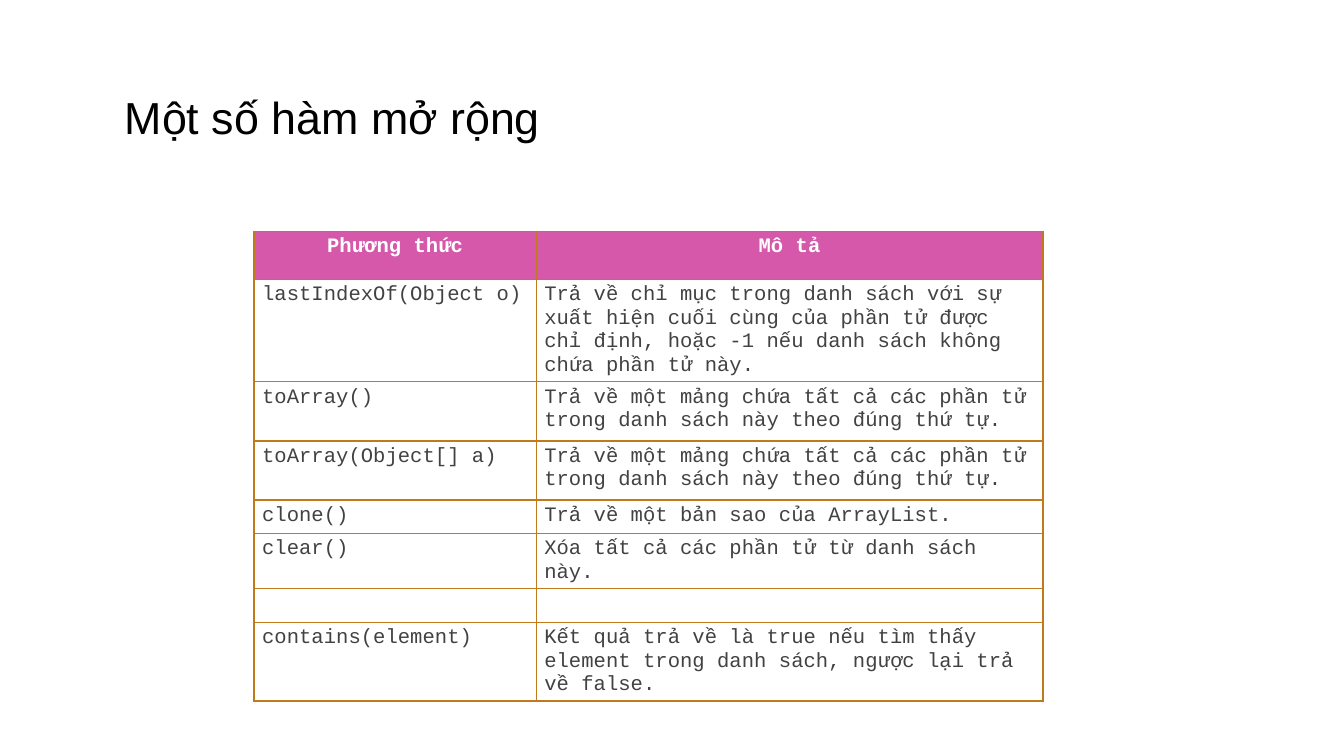
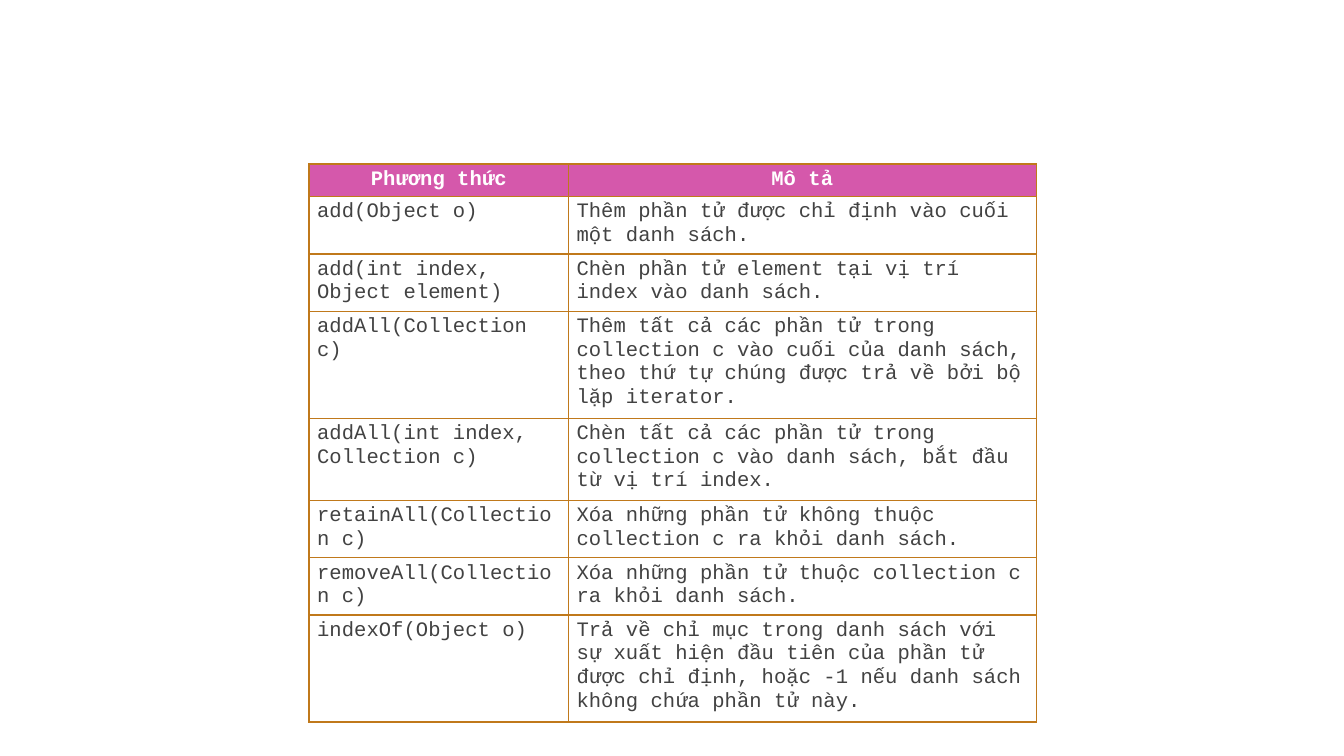
from dataclasses import dataclass

from lxml import etree
from pptx import Presentation
from pptx import util as u
from pptx.dml.color import RGBColor
from pptx.enum import text
from pptx.oxml import ns


@dataclass(frozen=True)
class Theme:
    page_fill: str = "FFFFFF"
    title_colour: str = "000000"
    header_fill: str = "D558AB"
    header_colour: str = "FFFFFF"
    body_fill: str = "FFFFFF"
    body_colour: str = "424242"
    border_colour: str = "C0791B"
    border_width: float = 0.8
    title_font: str = "Arial"
    title_size: int = 24
    table_font: str = "Courier New"
    table_size: int = 11


THEME = Theme()
HEADER = ("Phương thức", "Mô tả")

EXTRA_METHODS = [
    ("lastIndexOf(Object o)",
     "Trả về chỉ mục trong danh sách với sự xuất hiện cuối cùng của phần tử "
     "được chỉ định, hoặc -1 nếu danh sách không chứa phần tử này."),
    ("toArray()",
     "Trả về một mảng chứa tất cả các phần tử trong danh sách này theo đúng thứ tự."),
    ("toArray(Object[] a)",
     "Trả về một mảng chứa tất cả các phần tử trong danh sách này theo đúng thứ tự."),
    ("clone()", "Trả về một bản sao của ArrayList."),
    ("clear()", "Xóa tất cả các phần tử từ danh sách này."),
    ("", ""),
    ("contains(element)",
     "Kết quả trả về là true nếu tìm thấy element trong danh sách, "
     "ngược lại trả về false."),
]

LIST_METHODS = [
    ("add(Object o)", "Thêm phần tử được chỉ định vào cuối một danh sách."),
    ("add(int index, Object element)",
     "Chèn phần tử element tại vị trí index vào danh sách."),
    ("addAll(Collection c)",
     "Thêm tất cả các phần tử trong collection c vào cuối của danh sách, "
     "theo thứ tự chúng được trả về bởi bộ lặp iterator."),
    ("addAll(int index, Collection c)",
     "Chèn tất cả các phần tử trong collection c vào danh sách, "
     "bắt đầu từ vị trí index."),
    ("retainAll(Collection c)",
     "Xóa những phần tử không thuộc collection c ra khỏi danh sách."),
    ("removeAll(Collection c)",
     "Xóa những phần tử thuộc collection c ra khỏi danh sách."),
    ("indexOf(Object o)",
     "Trả về chỉ mục trong danh sách với sự xuất hiện đầu tiên của phần tử "
     "được chỉ định, hoặc -1 nếu danh sách không chứa phần tử này."),
]


def add_page(deck):
    page = deck.slides.add_slide(deck.slide_layouts[6])
    page.background.fill.solid()
    page.background.fill.fore_color.rgb = RGBColor.from_string(THEME.page_fill)
    return page


def add_span(para, words, font, size, colour, bold=False):
    span = para.add_run()
    span.text = words
    span.font.name = font
    span.font.size = u.Pt(size)
    span.font.bold = bold
    span.font.color.rgb = RGBColor.from_string(colour)


def add_title(page, words):
    box = page.shapes.add_textbox(
        u.Inches(0.83), u.Inches(0.62), u.Inches(5.17), u.Inches(0.5))
    frame = box.text_frame
    frame.word_wrap = True
    frame.auto_size = text.MSO_AUTO_SIZE.SHAPE_TO_FIT_TEXT
    add_span(frame.paragraphs[0], words, THEME.title_font,
             THEME.title_size, THEME.title_colour)


def add_borders(cell):
    properties = cell._tc.get_or_add_tcPr()
    for position, side in enumerate(("lnL", "lnR", "lnT", "lnB")):
        line = etree.Element(ns.qn(f"a:{side}"),
                             w=str(int(u.Pt(THEME.border_width))))
        fill = etree.SubElement(line, ns.qn("a:solidFill"))
        etree.SubElement(fill, ns.qn("a:srgbClr"), val=THEME.border_colour)
        properties.insert(position, line)


def fill_cell(cell, words, is_header):
    cell.margin_left = cell.margin_right = u.Inches(0.06)
    cell.margin_top = cell.margin_bottom = u.Inches(0.03)
    cell.fill.solid()
    cell.fill.fore_color.rgb = RGBColor.from_string(
        THEME.header_fill if is_header else THEME.body_fill)
    add_borders(cell)
    para = cell.text_frame.paragraphs[0]
    para.alignment = text.PP_ALIGN.CENTER if is_header else text.PP_ALIGN.LEFT
    if words:
        add_span(para, words, THEME.table_font, THEME.table_size,
                 THEME.header_colour if is_header else THEME.body_colour, is_header)
    else:  # keeps an empty row as low as one line of table text
        etree.SubElement(para._p, ns.qn("a:endParaRPr"),
                         sz=str(THEME.table_size * 100))


def add_method_table(page, place, widths, heights, methods):
    """Place holds left, top, width and height in inches."""
    rows = [HEADER, *methods]
    frame = page.shapes.add_table(
        len(rows), len(HEADER), *(u.Inches(length) for length in place))
    table = frame.table
    table.horz_banding = False
    for column, width in zip(table.columns, widths):
        column.width = u.Inches(width)
    for row, height in zip(table.rows, heights):
        row.height = u.Inches(height)
    frame.height = u.Inches(place[-1])
    for row_index, row in enumerate(rows):
        for column_index, words in enumerate(row):
            fill_cell(table.cell(row_index, column_index), words, row_index == 0)


def main():
    deck = Presentation()
    deck.slide_width = u.Inches(10)
    deck.slide_height = u.Inches(10 * 9 / 16)

    page = add_page(deck)
    add_method_table(page, (1.89, 1.72, 5.87, 3.05), (2.1, 3.77),
                     (0.36, 0.62, 0.44, 0.44, 0.25, 0.25, 0.24, 0.44),
                     EXTRA_METHODS)
    add_title(page, "Một số hàm mở rộng")

    page = add_page(deck)
    add_method_table(page, (2.3, 1.22, 5.41, 3.62), (1.93, 3.48),
                     (0.24, 0.41, 0.41, 0.59, 0.41, 0.41, 0.41, 0.59),
                     LIST_METHODS)

    deck.save("out.pptx")


if __name__ == "__main__":
    main()
